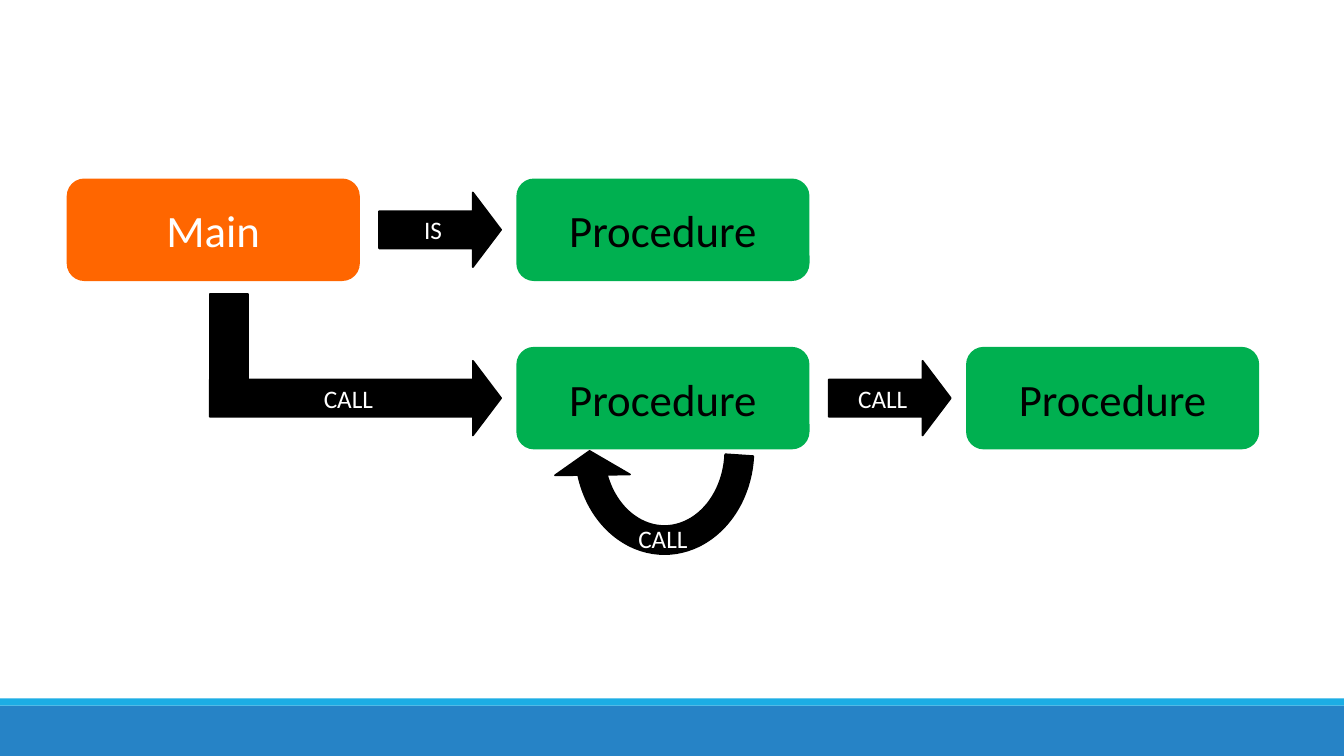
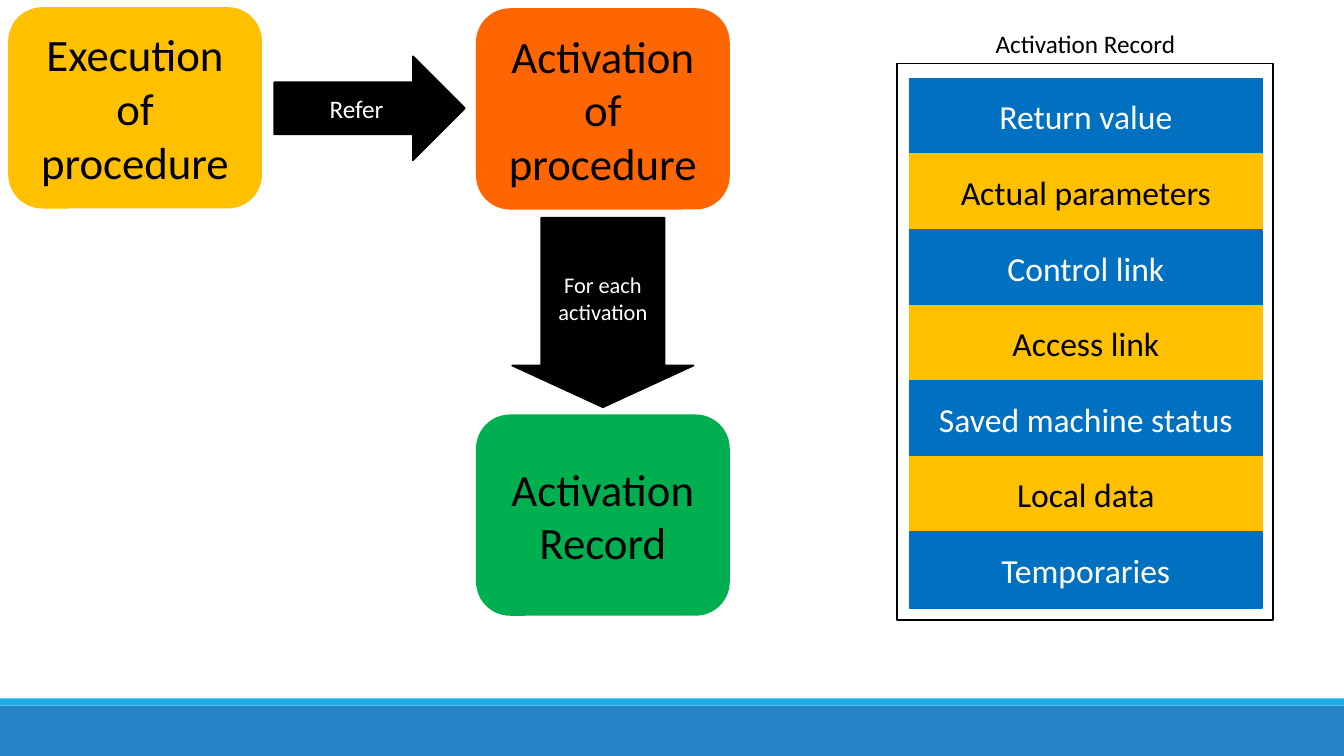
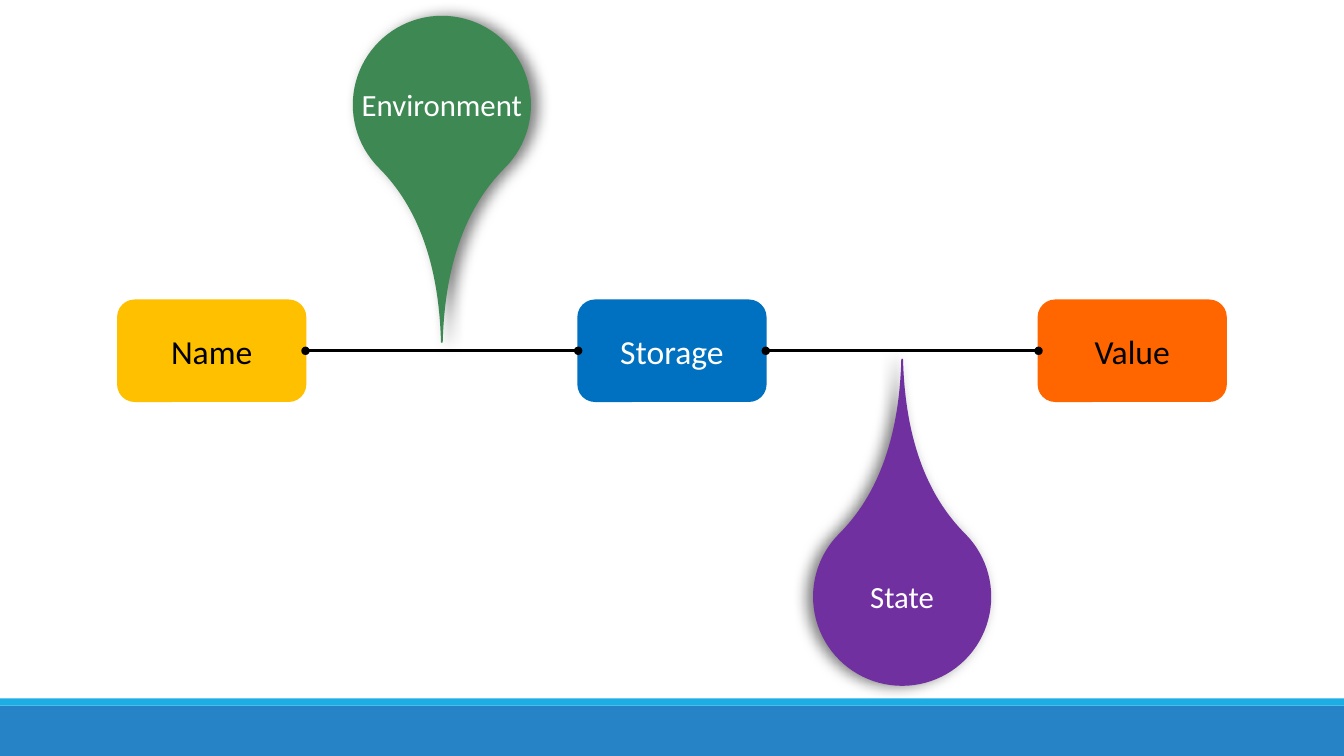
from lxml import etree
from pptx import Presentation
from pptx import util as u
from pptx.dml import color
from pptx.enum import shapes, text
from pptx.oxml import ns

W, H = 13.33, 7.5
FONT = "Calibri"
BLACK, WHITE = "000000", "FFFFFF"
ORANGE, GREEN, YELLOW, BLUE = "FF6600", "00B050", "FFC000", "0070C0"
PINE, PURPLE = "3E8853", "7030A0"
BAND, STRIPE = "2683C6", "1CADE4"
G = shapes.MSO_SHAPE


def rgb(value):
    """Turn a hex string into a colour."""
    return color.RGBColor.from_string(value)


def write(sp, lines, size, ink):
    """Write centred lines into a shape."""
    tf = sp.text_frame
    tf.text = lines
    for p in tf.paragraphs:
        p.alignment = text.PP_ALIGN.CENTER
        for r in p.runs:
            r.font.name, r.font.size = FONT, u.Pt(size)
            r.font.color.rgb = rgb(ink)


def shape(s, kind, box, fill=None, line=None, adj=(), label="", size=18, ink=WHITE):
    """Add a flat preset shape with an optional label."""
    sp = s.shapes.add_shape(kind, *[u.Inches(v) for v in box])
    sp.shadow.inherit = False
    if fill:
        sp.fill.solid()
        sp.fill.fore_color.rgb = rgb(fill)
    else:
        sp.fill.background()
    if line:
        sp.line.color.rgb = rgb(line)
        sp.line.width = u.Pt(1.25)
    else:
        sp.line.fill.background()
    for i, value in enumerate(adj):
        sp.adjustments[i] = value
    if label:
        sp.text_frame.vertical_anchor = text.MSO_ANCHOR.MIDDLE
        write(sp, label, size, ink)
    return sp


def solid(s, kind, box, fill, **options):
    """Add a shape whose outline matches its fill."""
    return shape(s, kind, box, fill, fill, **options)


def caption(s, cx, cy, w, h, label, size, ink):
    """Add an unwrapped text box centred on a point."""
    sp = s.shapes.add_textbox(*[u.Inches(v) for v in (cx - w / 2, cy - h / 2, w, h)])
    sp.text_frame.word_wrap = False
    sp.text_frame.auto_size = text.MSO_AUTO_SIZE.SHAPE_TO_FIT_TEXT
    write(sp, label, size, ink)


def dotted_link(s, x1, x2, y):
    """Draw a level line with a dot at each end."""
    link = s.shapes.add_connector(
        shapes.MSO_CONNECTOR.STRAIGHT, *[u.Inches(v) for v in (x1, y, x2, y)])
    link.line.color.rgb = rgb(BLACK)
    link.line.width = u.Pt(2)
    ln = link.line._get_or_add_ln()
    for end in ("a:headEnd", "a:tailEnd"):
        etree.SubElement(ln, ns.qn(end), type="oval")
    etree.SubElement(link._element.spPr, ns.qn("a:effectLst"))


def cast_shadow(sp, angle):
    """Give a shape a soft half-transparent shadow."""
    effects = sp._element.spPr.find(ns.qn("a:effectLst"))
    outer = etree.SubElement(
        effects, ns.qn("a:outerShdw"), blurRad=str(u.Pt(10)), dist=str(u.Pt(5)),
        dir=str(angle * 60000), algn="ctr", rotWithShape="0")
    clr = etree.SubElement(outer, ns.qn("a:srgbClr"), val=BLACK)
    etree.SubElement(clr, ns.qn("a:alpha"), val="50000")


def new_slide(prs):
    """Add a blank slide with the two footer bands."""
    s = prs.slides.add_slide(prs.slide_layouts[6])
    shape(s, G.RECTANGLE, (0, 7, W, 0.5), BAND)
    shape(s, G.RECTANGLE, (0, 6.93, W, 0.07), STRIPE)
    return s


def call_diagram(s, x, y):
    """Lay out the procedure calls on a grid of three columns and two rows."""
    w, h, arrow_h, gap = 2.89, 1, 0.74, 0.16
    cols = [x + 4.46 * i for i in range(3)]
    rows = [y, y + 1.67]
    nodes = [(0, 0, "Main", ORANGE, WHITE), (1, 0, "Procedure", GREEN, BLACK),
             (1, 1, "Procedure", GREEN, BLACK), (2, 1, "Procedure", GREEN, BLACK)]
    for col, row, label, fill, ink in nodes:
        solid(s, G.ROUNDED_RECTANGLE, (cols[col], rows[row], w, h), fill,
              label=label, size=32, ink=ink)
    arrows = [(1, 0, 1.21, "IS"), (1, 1, w, "CALL"), (2, 1, 1.21, "CALL")]
    for col, row, length, label in arrows:
        box = (cols[col] - gap - length, rows[row] + (h - arrow_h) / 2, length, arrow_h)
        solid(s, G.RIGHT_ARROW, box, BLACK, adj=(0.5, 0.378), label=label)
    solid(s, G.RECTANGLE, (cols[1] - gap - w, y + 1.14, 0.38, 1.15), BLACK)
    cx = cols[1] + w / 2
    loop = solid(s, G.CIRCULAR_ARROW, (cx - 1.1, rows[1] - 0.25, 2.23, 2.53), BLACK,
                 adj=(0.125, 11.038, 204.577, 110.344, 0.167))
    loop.rotation = 180
    caption(s, cx, rows[1] + 1.89, 0.7, 0.4, "CALL", 18, WHITE)


def activation_flow(s, x, y):
    """Lay out the steps from execution to activation record."""
    w, h, right = 2.5, 1.98, x + 4.64
    steps = [(x, y, "Execution\nof\nprocedure", YELLOW),
             (right, y + 0.01, "Activation\nof\nprocedure", ORANGE),
             (right, y + 4.04, "Activation\nRecord", GREEN)]
    for left, top, label, fill in steps:
        solid(s, G.ROUNDED_RECTANGLE, (left, top, w, h), fill,
              label=label, size=32, ink=BLACK)
    solid(s, G.RIGHT_ARROW, (x + 2.63, y + 0.48, 1.89, 1.03), BLACK, label="Refer")
    solid(s, G.DOWN_ARROW, (right + 0.35, y + 2.08, 1.8, 1.88), BLACK,
          adj=(0.68, 0.23), label="For each activation", size=16)


def record_stack(s, x, y, w, h):
    """Stack the record fields inside a titled frame."""
    fields = ["Return value", "Actual parameters", "Control link", "Access link",
              "Saved machine status", "Local data", "Temporaries"]
    styles = [(BLUE, WHITE), (YELLOW, BLACK)]
    row_h = 0.75
    for i, label in enumerate(fields):
        fill, ink = styles[i % 2]
        solid(s, G.RECTANGLE, (x + 0.12, y + 0.15 + row_h * i, 3.5, row_h), fill,
              label=label, size=24, ink=ink)
    shape(s, G.RECTANGLE, (x, y, w, h), line=BLACK)
    caption(s, x + w / 2, y - 0.2, 2.01, 0.4, "Activation Record", 18, BLACK)


def pin(s, cx, line_y, side, label, label_w, fill):
    """Place a drop pointing at a line from above (-1) or below (1)."""
    d = 1.75
    cy = line_y + side * 2.44
    drop = solid(s, G.TEAR, (cx - d / 2, cy - d / 2, d, d), fill, adj=(1.903,))
    drop.rotation = 135 if side < 0 else 315
    cast_shadow(drop, 0 if side < 0 else 180)
    caption(s, cx, cy, label_w, 0.47, label, 22, WHITE)


def binding_chain(s, x, y):
    """Join name, storage and value, with a pin on each link."""
    w, h, step = 1.86, 1, 4.565
    mid = y + h / 2
    nodes = [("Name", YELLOW, BLACK), ("Storage", BLUE, WHITE), ("Value", ORANGE, BLACK)]
    pins = [(-1, "Environment", 1.81, PINE), (1, "State", 0.84, PURPLE)]
    for i, (label, fill, ink) in enumerate(nodes):
        solid(s, G.ROUNDED_RECTANGLE, (x + step * i, y, w, h), fill,
              label=label, size=24, ink=ink)
    for i, (side, label, label_w, fill) in enumerate(pins):
        start, end = x + step * i + w, x + step * (i + 1)
        dotted_link(s, start, end, mid)
        pin(s, (start + end) / 2, mid, side, label, label_w, fill)


def main():
    """Build and save the three slides."""
    prs = Presentation()
    prs.slide_width, prs.slide_height = u.Inches(W), u.Inches(H)
    call_diagram(new_slide(prs), 0.67, 1.78)
    s = new_slide(prs)
    activation_flow(s, 0.09, 0.08)
    record_stack(s, 8.9, 0.63, 3.73, 5.52)
    binding_chain(new_slide(prs), 1.17, 2.98)
    prs.save("out.pptx")


if __name__ == "__main__":
    main()
